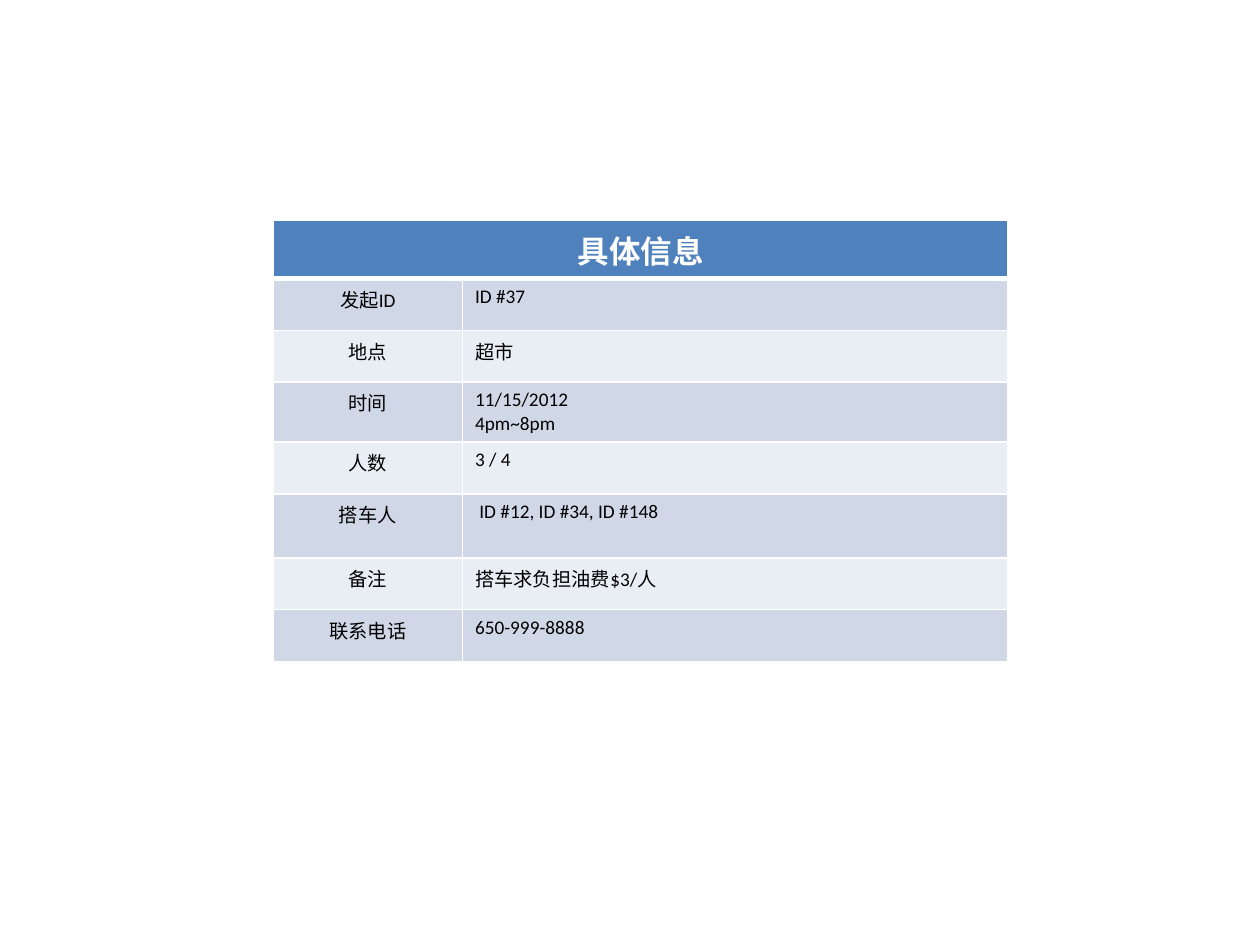
"""Build a slide with a table of carpool details."""
from lxml import etree
from pptx import Presentation
from pptx.dml.color import RGBColor
from pptx.enum import text
from pptx.oxml import ns
from pptx.util import Inches, Pt

WHITE = RGBColor(0xFF, 0xFF, 0xFF)
BLACK = RGBColor(0x00, 0x00, 0x00)
HEADER_BLUE = RGBColor(0x4F, 0x81, 0xBD)
BANDS = [RGBColor(0xD0, 0xD8, 0xE8), RGBColor(0xE9, 0xED, 0xF4)]

TITLE = "具体信息"
DETAILS = [
    ("发起ID", "ID #37"),
    ("地点", "超市"),
    ("时间", "11/15/2012\n4pm~8pm"),
    ("人数", "3 / 4"),
    ("搭车人", " ID #12, ID #34, ID #148"),
    ("备注", "搭车求负担油费$3/人"),
    ("联系电话", "650-999-8888"),
]
ROW_HEIGHT = 0.41
PASSENGER_ROW = 5
PASSENGER_ROW_HEIGHT = 0.51


def add_borders(cell, top=1, bottom=1):
    properties = cell._tc.get_or_add_tcPr()
    for side, width in (("L", 1), ("R", 1), ("T", top), ("B", bottom)):
        line = etree.SubElement(properties, ns.qn(f"a:ln{side}"), w=str(Pt(width)))
        fill = etree.SubElement(line, ns.qn("a:solidFill"))
        etree.SubElement(fill, ns.qn("a:srgbClr"), val=str(WHITE))


def write_cell(cell, content, fill, size=11, color=BLACK, bold=False,
               align=text.PP_ALIGN.LEFT):
    cell.fill.solid()
    cell.fill.fore_color.rgb = fill
    cell.text = content
    for paragraph in cell.text_frame.paragraphs:
        paragraph.alignment = align
        for run in paragraph.runs:
            run.font.name = "Calibri"
            run.font.size = Pt(size)
            run.font.bold = bold
            run.font.color.rgb = color


presentation = Presentation()
presentation.slide_width = Inches(10)
presentation.slide_height = Inches(7.5)
slide = presentation.slides.add_slide(presentation.slide_layouts[6])

row_count = len(DETAILS) + 1
table = slide.shapes.add_table(
    row_count, 2, Inches(2.17), Inches(1.75),
    Inches(5.83), Inches(ROW_HEIGHT * row_count)).table
for column, width in zip(table.columns, (1.5, 4.33)):
    column.width = Inches(width)
for index, row in enumerate(table.rows):
    row.height = Inches(ROW_HEIGHT)
    for cell in row.cells:
        add_borders(cell, top=3 if index == 1 else 1, bottom=3 if index == 0 else 1)
table.rows[PASSENGER_ROW].height = Inches(PASSENGER_ROW_HEIGHT)

header = table.cell(0, 0)
header.merge(table.cell(0, 1))
write_cell(header, TITLE, HEADER_BLUE, size=18, color=WHITE, bold=True,
           align=text.PP_ALIGN.CENTER)

for index, (label, value) in enumerate(DETAILS):
    band = BANDS[index % 2]
    write_cell(table.cell(index + 1, 0), label, band, align=text.PP_ALIGN.CENTER)
    write_cell(table.cell(index + 1, 1), value, band)

presentation.save("out.pptx")
